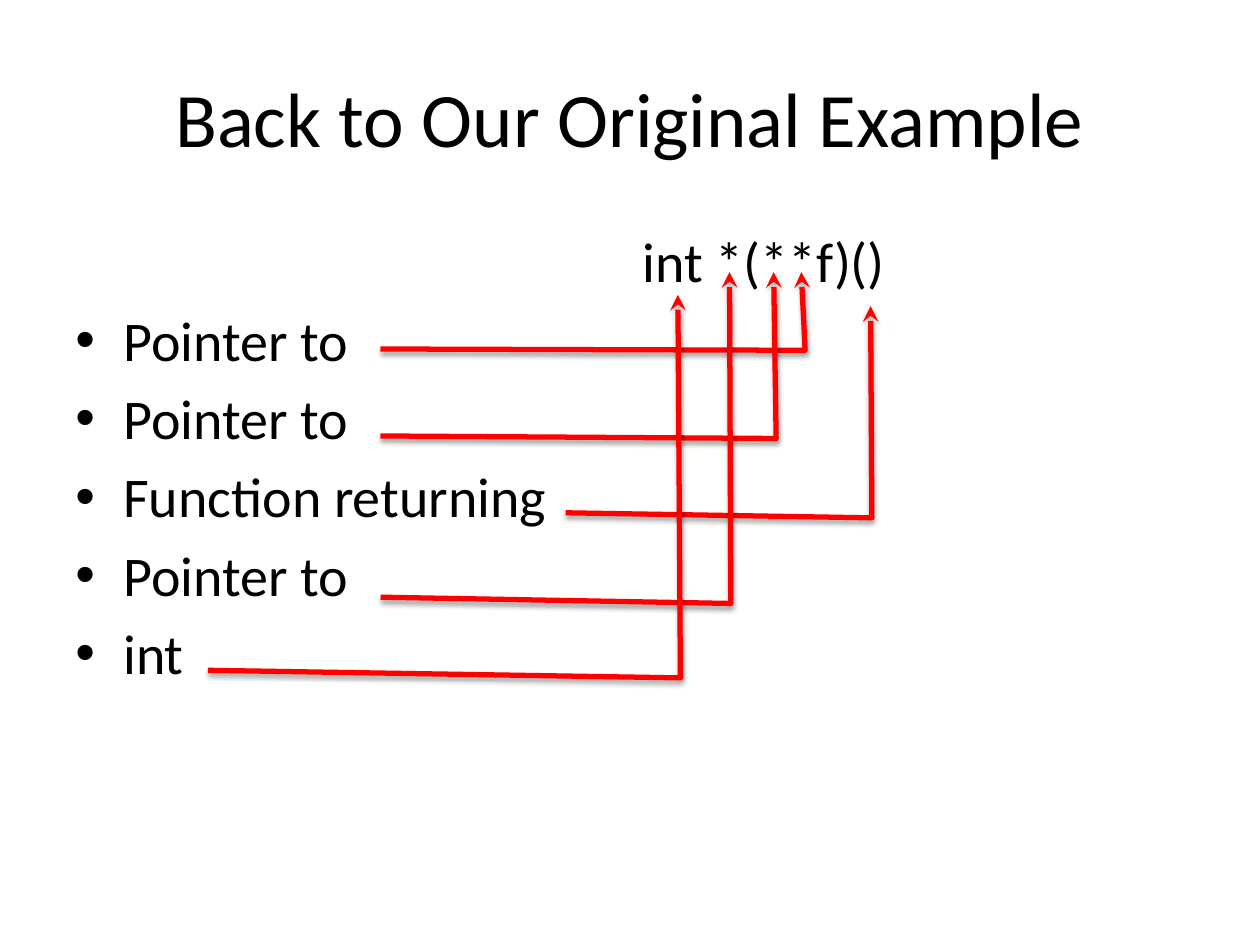
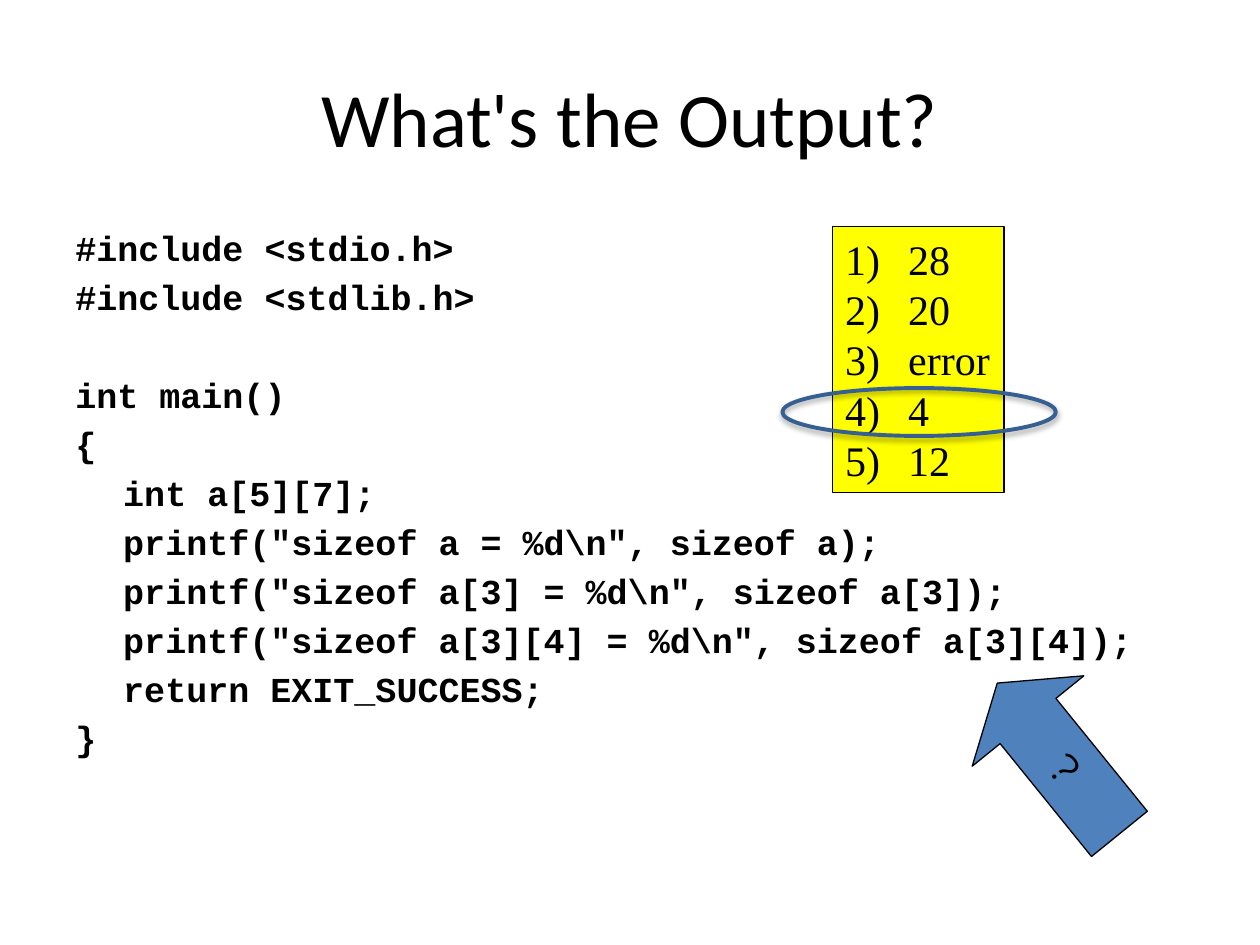
from lxml.etree import SubElement
from pptx import Presentation
from pptx.dml.color import RGBColor
from pptx.enum.shapes import MSO_SHAPE
from pptx.enum.text import MSO_ANCHOR, PP_ALIGN
from pptx.oxml.ns import qn
from pptx.util import Inches, Pt

SLIDE_WIDTH, SLIDE_HEIGHT = Inches(10), Inches(7.5)
COLUMNS, ROWS = 10, 7.5
COLORS = {
    "text": "000000",
    "pointer": "FF0000",
    "answers": "FFFF00",
    "arrow": "4F81BD",
    "highlight": "376092",
}
TITLE_FONT = BODY_FONT = "Calibri"
BULLET_FONT = "Arial"
CODE_FONT = "Courier New"
ANSWER_FONT = "Times New Roman"
ARROW_FONT = "Montserrat"
TITLE_AREA = (0.5, 0.3, 9, 1.25)
BODY_AREA = (0.5, 1.75, 9, 4.95)
INDENT = 0.38
BULLET = [("a:buFont", {"typeface": BULLET_FONT}), ("a:buChar", {"char": "•"})]
NUMBER = [("a:buFont", {"typeface": ANSWER_FONT}),
          ("a:buAutoNum", {"type": "arabicParenR"})]

MEANINGS = ["Pointer to", "Pointer to", "Function returning", "Pointer to", "int"]
POINTERS = [
    [(3.02, 2.77), (6.39, 2.78), (6.36, 2.16)],
    [(3.02, 3.46), (6.16, 3.48), (6.14, 2.16)],
    [(4.49, 4.07), (6.92, 4.11), (6.91, 2.43)],
    [(3.02, 4.74), (5.8, 4.79), (5.79, 2.16)],
    [(1.65, 5.32), (5.4, 5.38), (5.38, 2.34)],
]
INCLUDES = ["#include <stdio.h>", "#include <stdlib.h>"]
STATEMENTS = [
    "int a[5][7];",
    r'printf("sizeof a = %d\n", sizeof a);',
    r'printf("sizeof a[3] = %d\n", sizeof a[3]);',
    r'printf("sizeof a[3][4] = %d\n", sizeof a[3][4]);',
    "return EXIT_SUCCESS;",
]
ANSWERS = ["28", "20", "error", "4", "12"]


def column(count):
    return round(SLIDE_WIDTH * count / COLUMNS)


def row(count):
    return round(SLIDE_HEIGHT * count / ROWS)


def place(area):
    left, top, width, height = area
    return column(left), row(top), column(width), row(height)


def color(name):
    return RGBColor.from_string(COLORS[name])


def add_paragraph(frame, text, font, size, bold=False, margin=0, before=0,
                  bullet=(), align=PP_ALIGN.LEFT):
    first = frame.paragraphs[0]
    paragraph = frame.add_paragraph() if first.runs else first
    paragraph.text = text
    paragraph.alignment = align
    paragraph.space_before = Pt(before)
    paragraph.font.name = font
    paragraph.font.size = Pt(size)
    paragraph.font.bold = bold
    paragraph.font.color.rgb = color("text")
    properties = paragraph._p.get_or_add_pPr()
    properties.set("marL", str(column(margin)))
    if bullet:
        properties.set("indent", str(-column(margin)))
    for tag, attributes in bullet:
        bullet_element = SubElement(properties, qn(tag), attributes)
        properties.remove(bullet_element)
        properties.insert_element_before(bullet_element, "a:tabLst", "a:defRPr")


def add_text_area(slide, area, anchor=MSO_ANCHOR.TOP):
    frame = slide.shapes.add_textbox(*place(area)).text_frame
    frame.word_wrap = True
    frame.vertical_anchor = anchor
    return frame


def add_titled_slide(presentation, title):
    slide = presentation.slides.add_slide(presentation.slide_layouts[6])
    frame = add_text_area(slide, TITLE_AREA, MSO_ANCHOR.MIDDLE)
    add_paragraph(frame, title, TITLE_FONT, 44, align=PP_ALIGN.CENTER)
    return slide


def style_shape(shape, line, width, fill=None):
    shape.shadow.inherit = False
    shape.line.color.rgb = color(line)
    shape.line.width = Pt(width)
    if fill:
        shape.fill.solid()
        shape.fill.fore_color.rgb = color(fill)
    else:
        shape.fill.background()


def add_shadow(shape, opacity, distance):
    effects = shape._element.spPr.find(qn("a:effectLst"))
    shadow = SubElement(effects, qn("a:outerShdw"), {
        "blurRad": str(Pt(3.1)), "dist": str(Pt(distance)),
        "dir": "5400000", "rotWithShape": "0"})
    shade = SubElement(shadow, qn("a:srgbClr"), val=COLORS["text"])
    SubElement(shade, qn("a:alpha"), val=str(opacity * 1000))


def add_pointer(slide, points):
    start, *others = [(column(x), row(y)) for x, y in points]
    builder = slide.shapes.build_freeform(*start)
    builder.add_line_segments(others, close=False)
    pointer = builder.convert_to_shape()
    style_shape(pointer, "pointer", 3)
    add_shadow(pointer, 38, 1.6)
    SubElement(pointer.line._get_or_add_ln(), qn("a:tailEnd"), type="stealth")


def add_shape(slide, kind, area, line, width, fill=None):
    shape = slide.shapes.add_shape(kind, *place(area))
    style_shape(shape, line, width, fill)
    shape.text_frame.word_wrap = False
    return shape


def add_declaration_slide(presentation):
    slide = add_titled_slide(presentation, "Back to Our Original Example")
    frame = add_text_area(slide, BODY_AREA)
    add_paragraph(frame, "int *(**f)()", BODY_FONT, 32, margin=4.5, before=2)
    for meaning in MEANINGS:
        add_paragraph(frame, meaning, BODY_FONT, 32, margin=INDENT, before=6.4,
                      bullet=BULLET)
    for points in POINTERS:
        add_pointer(slide, points)


def add_code(slide):
    frame = add_text_area(slide, BODY_AREA)
    gap, blank_line = 4, 28
    lines = [(INCLUDES[0], 0, gap), (INCLUDES[1], 0, gap),
             ("int main()", 0, gap + blank_line), ("{", 0, gap)]
    lines += [(statement, INDENT, gap) for statement in STATEMENTS]
    lines.append(("}", 0, gap))
    for text, margin, before in lines:
        add_paragraph(frame, text, CODE_FONT, 20, True, margin, before)


def add_answers(slide):
    box = add_shape(slide, MSO_SHAPE.RECTANGLE, (6.61, 1.8, 1.36, 2.11),
                    "text", 0.75, "answers")
    box.text_frame.vertical_anchor = MSO_ANCHOR.TOP
    for answer in ANSWERS:
        add_paragraph(box.text_frame, answer, ANSWER_FONT, 24, margin=0.5,
                      bullet=NUMBER)


def add_question_arrow(slide):
    arrow = add_shape(slide, MSO_SHAPE.LEFT_ARROW, (7.63, 5.45, 1.54, 1.14),
                      "text", 0.75, "arrow")
    arrow.rotation = 51
    arrow.adjustments[0] = 0.5
    arrow.adjustments[1] = 0.34
    arrow.text_frame.vertical_anchor = MSO_ANCHOR.MIDDLE
    add_paragraph(arrow.text_frame, "?", ARROW_FONT, 24, align=PP_ALIGN.CENTER)


def add_output_slide(presentation):
    slide = add_titled_slide(presentation, "What's the Output?")
    add_code(slide)
    add_question_arrow(slide)
    add_answers(slide)
    highlight = add_shape(slide, MSO_SHAPE.OVAL, (6.21, 3.08, 2.17, 0.38),
                          "highlight", 2.25)
    add_shadow(highlight, 35, 1.8)


def main():
    presentation = Presentation()
    presentation.slide_width = SLIDE_WIDTH
    presentation.slide_height = SLIDE_HEIGHT
    add_declaration_slide(presentation)
    add_output_slide(presentation)
    presentation.save("out.pptx")


if __name__ == "__main__":
    main()
